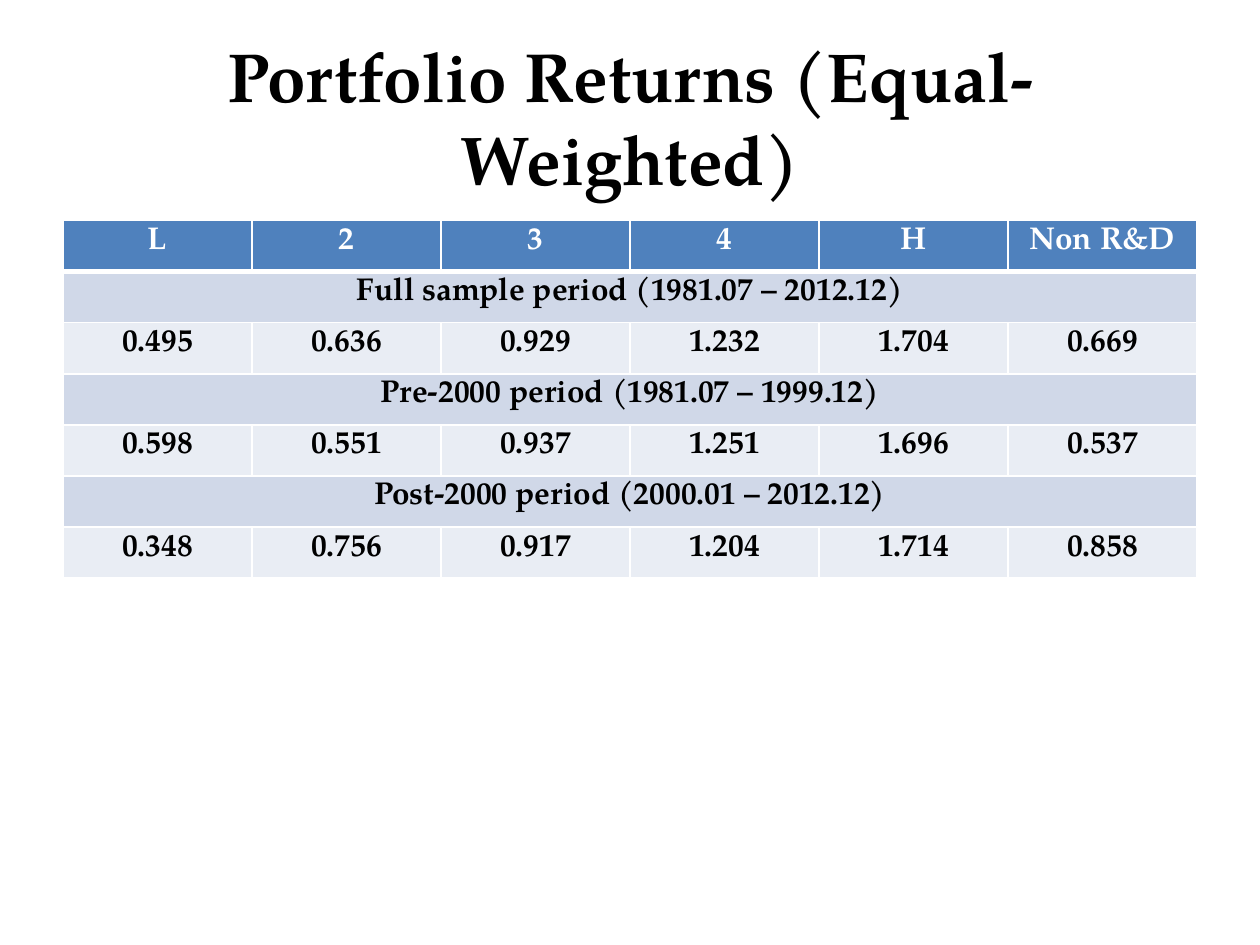
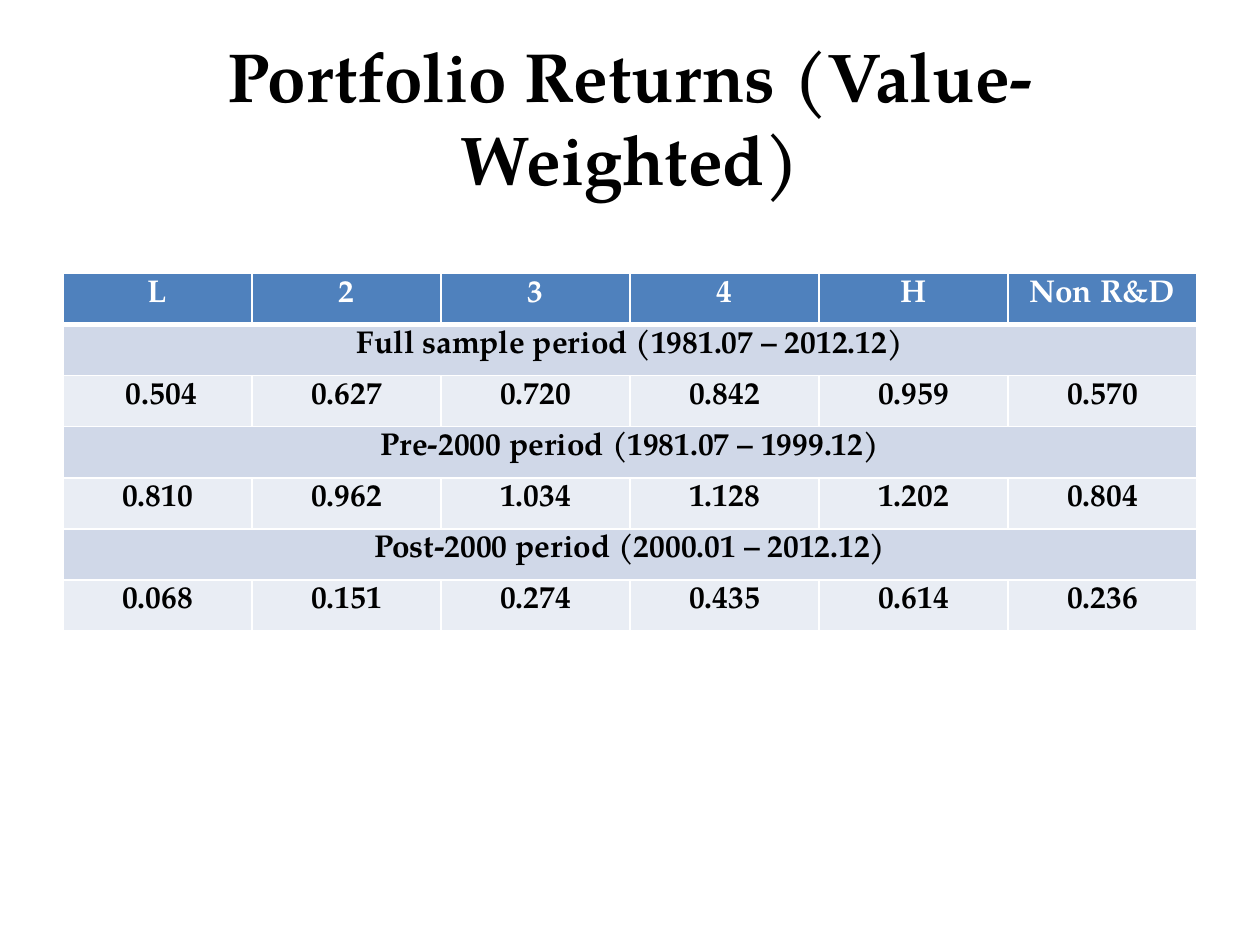
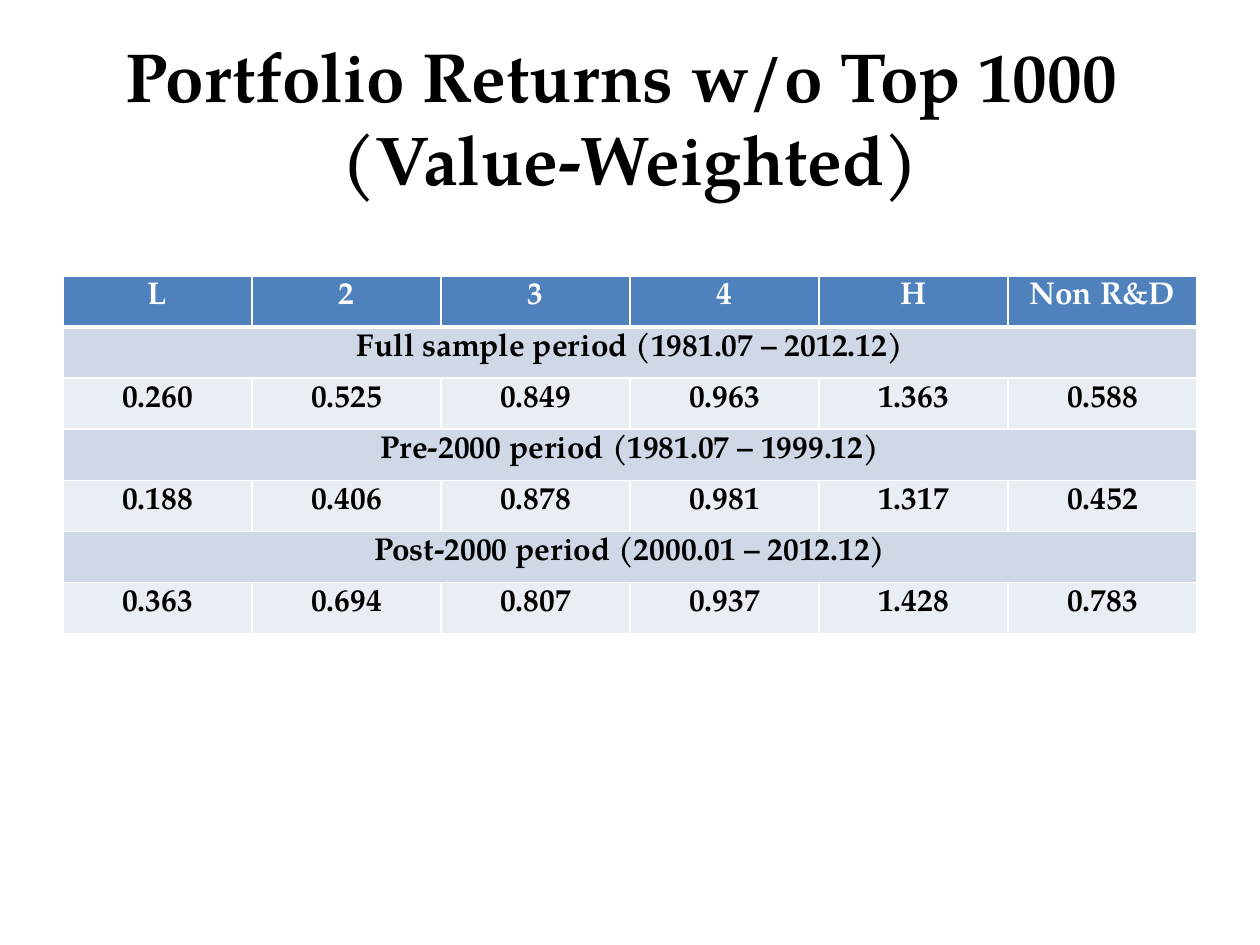
from lxml import etree
from pptx import Presentation
from pptx.dml.color import RGBColor
from pptx.enum.text import MSO_ANCHOR, PP_ALIGN
from pptx.oxml.ns import qn
from pptx.util import Inches, Pt

CENTER = PP_ALIGN.CENTER
MIDDLE = MSO_ANCHOR.MIDDLE
FONT = "TeX Gyre Pagella"
COLORS = {
    "text": "000000",
    "white": "FFFFFF",
    "header": "4F81BD",
    "period": "D0D8E8",
    "returns": "E9EDF4",
}
LEFT, WIDTH = 0.5, 9
HEADINGS = ["L", "2", "3", "4", "H", "Non R&D"]
PERIODS = [
    "Full sample period (1981.07 – 2012.12)",
    "Pre-2000 period (1981.07 – 1999.12)",
    "Post-2000 period (2000.01 – 2012.12)",
]
SLIDES = [
    ("Portfolio Returns (Equal-Weighted)", 1.75, [
        ["0.495", "0.636", "0.929", "1.232", "1.704", "0.669"],
        ["0.598", "0.551", "0.937", "1.251", "1.696", "0.537"],
        ["0.348", "0.756", "0.917", "1.204", "1.714", "0.858"],
    ]),
    ("Portfolio Returns (Value-Weighted)", 2.17, [
        [" 0.504", "0.627", "0.720", "0.842", "0.959", "0.570"],
        ["0.810", "0.962", "1.034", "1.128", "1.202", "0.804"],
        ["0.068", "0.151", "0.274", "0.435", "0.614", "0.236"],
    ]),
    ("Portfolio Returns w/o Top 1000 \v(Value-Weighted)", 2.19, [
        ["0.260", "0.525", "0.849", "0.963", "1.363", "0.588"],
        ["0.188", "0.406", "0.878", "0.981", "1.317", "0.452"],
        ["0.363", "0.694", "0.807", "0.937", "1.428", "0.783"],
    ]),
]


class Deck:
    """Hold the shared style and the current slide."""

    def __init__(self):
        self.presentation = Presentation()
        self.presentation.slide_width = Inches(10)
        self.presentation.slide_height = Inches(7.5)
        self.slide = None

    def add_slide(self):
        """Start a new blank slide."""
        self.slide = self.presentation.slides.add_slide(self.presentation.slide_layouts[6])

    def set_text(self, text_frame, text, size, color):
        """Set one centred bold paragraph."""
        paragraph = text_frame.paragraphs[0]
        paragraph.text = text
        paragraph.alignment = CENTER
        for run in paragraph.runs:
            run.font.name = FONT
            run.font.size = Pt(size)
            run.font.bold = True
            run.font.color.rgb = RGBColor.from_string(COLORS[color])

    def add_title(self, text):
        """Add the slide title."""
        shape = self.slide.shapes.add_textbox(
            Inches(LEFT), Inches(0.3), Inches(WIDTH), Inches(1.25))
        shape.text_frame.word_wrap = True
        shape.text_frame.vertical_anchor = MIDDLE
        self.set_text(shape.text_frame, text, 39.6, "text")

    def set_borders(self, cell, top, bottom):
        """Draw white cell borders with the given top and bottom widths."""
        properties = cell._tc.get_or_add_tcPr()
        for side, width in (("L", 1), ("R", 1), ("T", top), ("B", bottom)):
            line = etree.SubElement(properties, qn(f"a:ln{side}"), w=str(Pt(width)))
            fill = etree.SubElement(line, qn("a:solidFill"))
            etree.SubElement(fill, qn("a:srgbClr"), val=COLORS["white"])

    def add_returns_table(self, top, returns):
        """Add the table of returns, with a merged row above each period."""
        rows = [("header", HEADINGS)]
        for period, values in zip(PERIODS, returns):
            rows += [("period", [period]), ("returns", values)]
        table = self.slide.shapes.add_table(
            len(rows), len(HEADINGS),
            Inches(LEFT), Inches(top), Inches(WIDTH), Inches(2.84)).table
        for row, (kind, texts) in enumerate(rows):
            for column in range(len(HEADINGS)):
                cell = table.cell(row, column)
                self.set_borders(cell, 3 if row == 1 else 1, 3 if row == 0 else 1)
                cell.fill.solid()
                cell.fill.fore_color.rgb = RGBColor.from_string(COLORS[kind])
            if kind == "period":
                table.cell(row, 0).merge(table.cell(row, len(HEADINGS) - 1))
            for column, text in enumerate(texts):
                self.set_text(table.cell(row, column).text_frame, text, 18,
                              "white" if kind == "header" else "text")


deck = Deck()
for title, table_top, portfolio_returns in SLIDES:
    deck.add_slide()
    deck.add_title(title)
    deck.add_returns_table(table_top, portfolio_returns)
deck.presentation.save("out.pptx")
